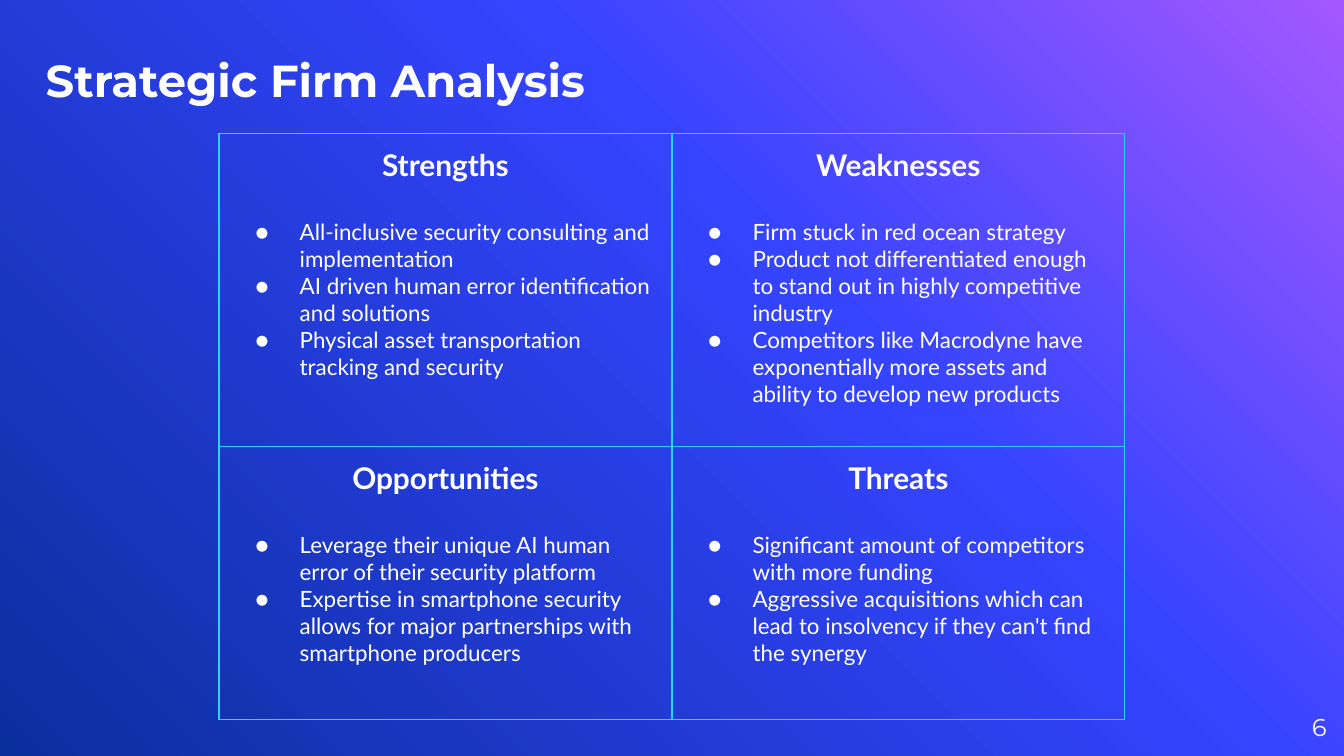
from copy import deepcopy

from lxml.etree import SubElement as Sub, Element
from pptx import Presentation
from pptx.dml.color import RGBColor
from pptx.enum.text import MSO_ANCHOR as Anchor, PP_ALIGN as Align
from pptx.oxml.ns import qn
from pptx.util import Inches, Pt

WHITE = RGBColor(0xFF, 0xFF, 0xFF)
CYAN = RGBColor(0x24, 0xD6, 0xFF)
VIOLET = RGBColor(0xA4, 0x58, 0xFF)
BLUE = RGBColor(0x35, 0x44, 0xFF)
NAVY = RGBColor(0x0A, 0x2F, 0x9E)

WIDTH = Inches(10)
HEIGHT = WIDTH * 9 // 16
COLUMNS, ROWS = 100, 56.25

SWOT = [
    [
        ("Strengths", [
            "All-inclusive security consulting and implementation",
            "AI driven human error identification and solutions",
            "Physical asset transportation tracking and security",
        ]),
        ("Weaknesses", [
            "Firm stuck in red ocean strategy",
            "Product not differentiated enough to stand out in highly competitive industry",
            "Competitors like Macrodyne have exponentially more assets and ability to develop new products",
        ]),
    ],
    [
        ("Opportunities", [
            "Leverage their unique AI human error of their security platform",
            "Expertise in smartphone security allows for major partnerships with smartphone producers",
        ]),
        ("Threats", [
            "Significant amount of competitors with more funding",
            "Aggressive acquisitions which can lead to insolvency if they can't find the synergy",
        ]),
    ],
]


class Painter:
    heading_font = "Montserrat"
    body_font = "Lato"

    def __init__(self, page):
        self.page = page

    def x(self, columns):
        return round(WIDTH * columns / COLUMNS)

    def y(self, rows):
        return round(HEIGHT * rows / ROWS)

    def background(self, stops):
        fill = self.page.background.fill
        fill.gradient()
        fill.gradient_angle = 225
        stop_list = self.page.element.find(".//" + qn("a:gsLst"))
        stop_list.insert(1, deepcopy(stop_list[0]))
        for stop, (position, color) in zip(fill.gradient_stops, stops):
            stop.position = position
            stop.color.rgb = color

    def span(self, para, text, font, size, bold=False):
        span = para.add_run()
        span.text = text
        span.font.name = font
        span.font.size = Pt(size)
        span.font.bold = bold
        span.font.color.rgb = WHITE

    def text(self, area, text, size, bold=False, align=Align.LEFT, anchor=Anchor.MIDDLE):
        left, top, width, height = area
        box = self.page.shapes.add_textbox(self.x(left), self.y(top), self.x(width), self.y(height))
        frame = box.text_frame
        frame.word_wrap = True
        frame.vertical_anchor = anchor
        frame.margin_left = frame.margin_right = frame.margin_top = frame.margin_bottom = 0
        para = frame.paragraphs[0]
        para.alignment = align
        self.span(para, text, self.heading_font, size, bold)

    def bullet(self, para, text):
        props = para._p.get_or_add_pPr()
        props.set("marL", str(Inches(0.5)))
        props.set("indent", str(Inches(-0.33)))
        Sub(Sub(props, qn("a:buClr")), qn("a:srgbClr"), val=str(WHITE))
        Sub(props, qn("a:buSzPts"), val="1200")
        Sub(props, qn("a:buFont"), typeface=self.body_font)
        Sub(props, qn("a:buChar"), char="●")
        self.span(para, text, self.body_font, 12)

    def border(self, cell):
        props = cell._tc.get_or_add_tcPr()
        for index, side in enumerate(("a:lnL", "a:lnR", "a:lnT", "a:lnB")):
            line = Element(qn(side), w=str(Pt(0.75)))
            Sub(Sub(line, qn("a:solidFill")), qn("a:srgbClr"), val=str(CYAN))
            props.insert(index, line)

    def quadrant(self, cell, heading, points):
        cell.fill.background()
        cell.margin_left = cell.margin_right = cell.margin_top = cell.margin_bottom = Inches(0.1)
        self.border(cell)
        frame = cell.text_frame
        para = frame.paragraphs[0]
        para.alignment = Align.CENTER
        para.space_after = Pt(19.2)
        self.span(para, heading, self.body_font, 16, True)
        for point in points:
            self.bullet(frame.add_paragraph(), point)

    def matrix(self, left, top, column_width, row_heights, content):
        table = self.page.shapes.add_table(
            len(content), len(content[0]), self.x(left), self.y(top),
            self.x(column_width * len(content[0])), self.y(sum(row_heights)),
        ).table
        table.first_row = table.horz_banding = False
        for column in table.columns:
            column.width = self.x(column_width)
        for row, height, quadrants in zip(table.rows, row_heights, content):
            row.height = self.y(height)
            for cell, (heading, points) in zip(row.cells, quadrants):
                self.quadrant(cell, heading, points)


def main():
    deck = Presentation()
    deck.slide_width, deck.slide_height = WIDTH, HEIGHT
    painter = Painter(deck.slides.add_slide(deck.slide_layouts[6]))
    painter.background([(0, VIOLET), (0.39, BLUE), (1, NAVY)])
    painter.text((92.7, 51.9, 6, 4.3), "6", 13, align=Align.RIGHT)
    painter.matrix(16.3, 9.95, 33.7, (23.3, 20.3), SWOT)
    painter.text((3.4, 1.5, 65.8, 6.4), "Strategic Firm Analysis", 24, True, anchor=Anchor.BOTTOM)
    deck.save("out.pptx")


if __name__ == "__main__":
    main()
